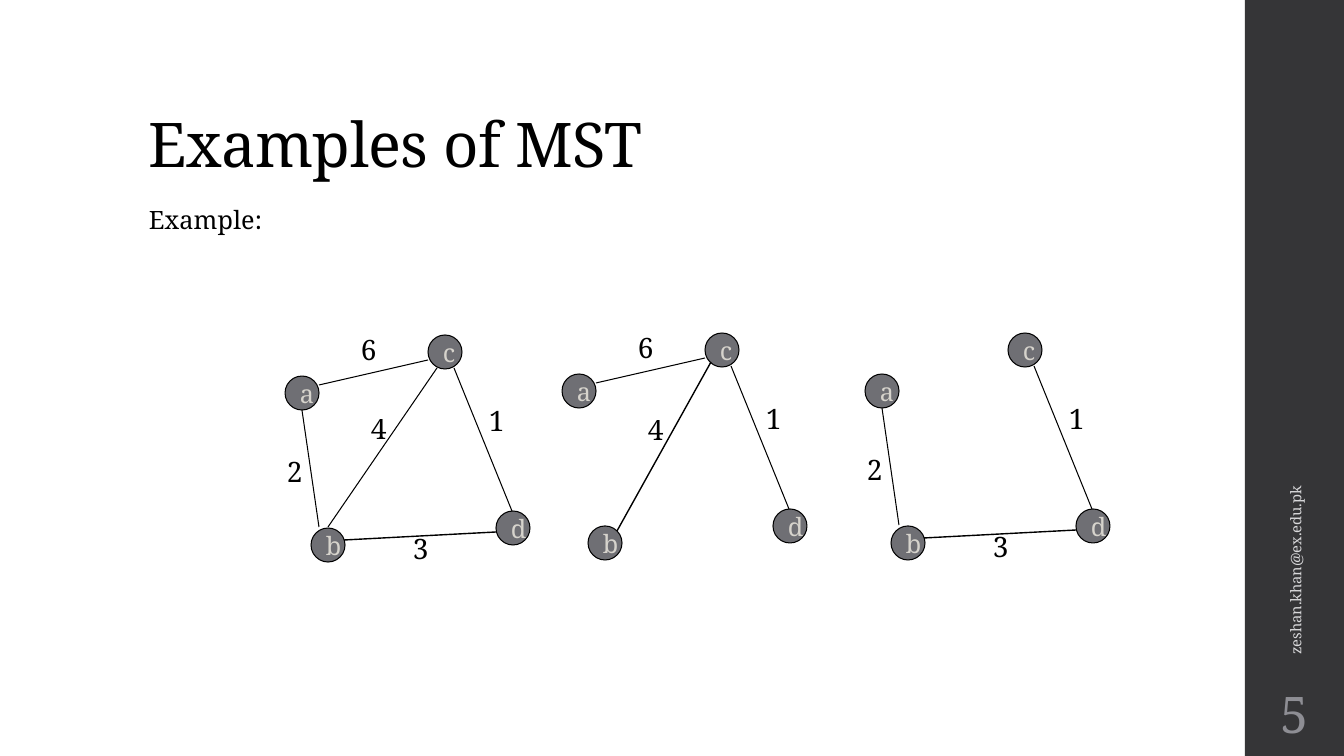
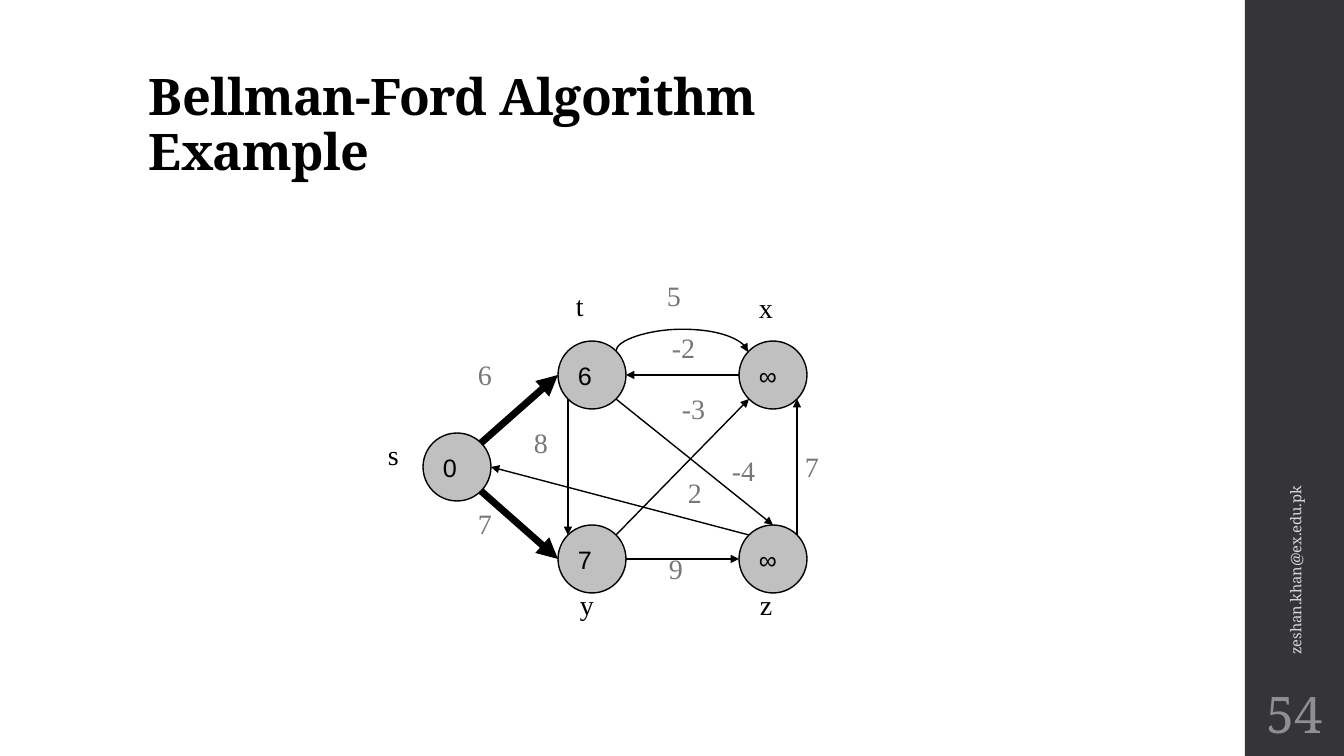
import math
from pptx import Presentation
from pptx import util as u
from pptx.dml.color import RGBColor
from pptx.enum import shapes, text
from pptx.oxml.ns import qn
from lxml import etree

SCALE = 914400 / 100.8
COLORS = {
    "band": "353537", "ink": "000000", "footer": "D9D9DB", "number": "8E8E94",
    "dark node": "6F6F74", "node letter": "D6D3CC",
    "light node": "C0C0C0", "weight": "777777",
}
SERIF, ROMAN, SANS = "Noto Serif", "Times New Roman", "Arial"


def px(*lengths):
    return [u.Emu(round(length * SCALE)) for length in lengths]


def color(name):
    return RGBColor.from_string(COLORS[name])


class Deck:
    def __init__(self):
        self.presentation = Presentation()
        self.presentation.slide_width, self.presentation.slide_height = px(1344, 756)
        self.slide = None

    def add_slide(self, title, number, size, bold=False):
        self.slide = self.presentation.slides.add_slide(self.presentation.slide_layouts[6])
        band = self.slide.shapes.add_shape(shapes.MSO_SHAPE.RECTANGLE, *px(1245, 0, 99, 756))
        band.shadow.inherit = False
        band.fill.solid()
        band.fill.fore_color.rgb = color("band")
        band.line.fill.background()
        self.label(title, (139, 40, 1068, 146), size, bold=bold, anchor="BOTTOM",
                   line_spacing=0.9, tracking=-50)
        footer = self.label("zeshan.khan@ex.edu.pk", (1098, 447, 395, 40), 10.5, "footer",
                            anchor="MIDDLE")
        footer.rotation = 270
        self.label(str(number), (1245, 680, 99, 66), 36, "number", anchor="MIDDLE",
                   align="CENTER", inset=5)

    def set_text(self, shape, words, size, ink, font, anchor="TOP", align="LEFT", bold=False):
        frame = shape.text_frame
        frame.text = words
        frame.vertical_anchor = text.MSO_ANCHOR[anchor]
        paragraph = frame.paragraphs[0]
        paragraph.alignment = text.PP_ALIGN[align]
        paragraph.font.size = u.Pt(size)
        paragraph.font.name = font
        paragraph.font.bold = bold
        paragraph.font.color.rgb = color(ink)
        return paragraph

    def label(self, words, box, size, ink="ink", font=SERIF, anchor="TOP", align="LEFT",
              bold=False, line_spacing=1.0, tracking=0, inset=None):
        shape = self.slide.shapes.add_textbox(*px(*box))
        frame = shape.text_frame
        frame.word_wrap = True
        if inset is not None:
            frame.margin_left = frame.margin_right = px(inset)[0]
        paragraph = self.set_text(shape, words, size, ink, font, anchor, align, bold)
        paragraph.line_spacing = line_spacing
        if tracking:
            for run in paragraph.runs:
                run._r.get_or_add_rPr().set("spc", str(tracking))
        return shape

    def node(self, words, left, top, size, fill, ink, font, width):
        shape = self.slide.shapes.add_shape(shapes.MSO_SHAPE.OVAL, *px(left, top, size, size))
        shape.shadow.inherit = False
        shape.fill.solid()
        shape.fill.fore_color.rgb = color(fill)
        shape.line.color.rgb = color("ink")
        shape.line.width = u.Pt(width)
        shape.text_frame.word_wrap = False
        self.set_text(shape, words, 18, ink, font, "MIDDLE")

    def line(self, start, end, width=0.75, arrow=False, kind="STRAIGHT"):
        connector = self.slide.shapes.add_connector(
            shapes.MSO_CONNECTOR[kind], *px(*start, *end))
        connector.line.color.rgb = color("ink")
        connector.line.width = u.Pt(width)
        properties = connector._element.spPr
        if arrow:
            outline = properties.find(qn("a:ln"))
            etree.SubElement(outline, qn("a:tailEnd"), type="triangle")
        etree.SubElement(properties, qn("a:effectLst"))
        return connector

    def arc_arrow(self, start, end, rise):
        span, drop = end[0] - start[0], end[1] - start[1]
        left = (start[0] + end[0] - drop) / 2
        top = (start[1] + end[1] - span) / 2
        connector = self.line((left, top), (left + drop, top + span), 1, True, "CURVE")
        properties = connector._element.spPr
        frame = properties.find(qn("a:xfrm"))
        frame.set("rot", "5400000")
        frame.set("flipV", "1")
        guides = properties.find(qn("a:prstGeom")).find(qn("a:avLst"))
        etree.SubElement(guides, qn("a:gd"), name="adj1",
                         fmla=f"val {round(-rise / drop * 100000)}")


deck = Deck()

deck.add_slide("Examples of MST", 5, 44)
deck.label("Example:", (139, 202, 948, 480), 18, line_spacing=0.95, tracking=10)

tree_nodes = {"c": (428, 335), "d": (496, 511), "b": (311, 528), "a": (285, 376)}
tree_edges = {
    "ac": ((319, 385), (428, 360), 0.75, "6", (351, 328)),
    "ab": ((319, 527), (302, 410), 0.75, "2", (277, 450)),
    "bc": ((328, 527), (437, 368), 0.75, "4", (361, 407)),
    "cb": ((434, 364), (340, 533), 1, "4", (361, 410)),
    "bd": ((344, 540), (496, 532), 1, "3", (403, 527)),
    "cd": ((512, 511), (454, 368), 0.75, "1", (479, 399)),
}
graphs = [
    (0, 0, ["ac", "ab", "bc", "bd", "cd"]),
    (277, -2, ["ac", "cb", "cd"]),
    (580, -2, ["ab", "bd", "cd"]),
]
for across, down, edges in graphs:
    def shift(point):
        return point[0] + across, point[1] + down

    for letter, corner in tree_nodes.items():
        deck.node(letter, *shift(corner), 34, "dark node", "node letter", SERIF, 0.75)
    for edge in edges:
        start, end, width, weight, corner = tree_edges[edge]
        deck.line(shift(start), shift(end), width)
        deck.label(weight, (*shift(corner), 34, 44), 20)

deck.add_slide("Bellman-Ford Algorithm\vExample", 54, 36, bold=True)
DIAMETER = 68
vertices = {
    "t": (558, 341, "6", (566, 284)),
    "x": (739, 341, "∞", (749, 286)),
    "y": (558, 525, "7", (570, 583)),
    "z": (739, 525, "∞", (750, 583)),
    "s": (423, 433, "0", (378, 433)),
}
for name, (left, top, distance, corner) in vertices.items():
    deck.node(distance, left, top, DIAMETER, "light node", "ink", SANS, 1)
    deck.label(name, (*corner, 45, 43), 20, font=ROMAN)


def rim(name, degrees):
    left, top = vertices[name][:2]
    radius, angle = DIAMETER / 2, math.radians(degrees)
    return (round(left + radius + radius * math.cos(angle)),
            round(top + radius - radius * math.sin(angle)))


arrows = [
    ("t", 225, "y", 135, 1, "8", (524, 421)),
    ("y", 45, "x", 225, 1, "-3", (672, 387)),
    ("z", 45, "x", 315, 1, "7", (795, 445)),
    ("y", 0, "z", 180, 1, "9", (659, 547)),
    ("z", 135, "s", 0, 1, "2", (678, 471)),
    ("s", 315, "y", 180, 5, "7", (468, 502)),
    ("s", 45, "t", 180, 5, "6", (468, 353)),
    ("x", 180, "t", 0, 1, "-2", (662, 326)),
    ("t", 315, "z", 90, 1, "-4", (722, 449)),
]
for origin, leaving, target, arriving, width, weight, corner in arrows:
    deck.line(rim(origin, leaving), rim(target, arriving), width, arrow=True)
    deck.label(weight, (*corner, 64, 43), 20, "weight", ROMAN)
deck.arc_arrow((616, 351), (748, 352), 22)
deck.label("5", (657, 274, 64, 43), 20, "weight", ROMAN)

deck.presentation.save("out.pptx")
